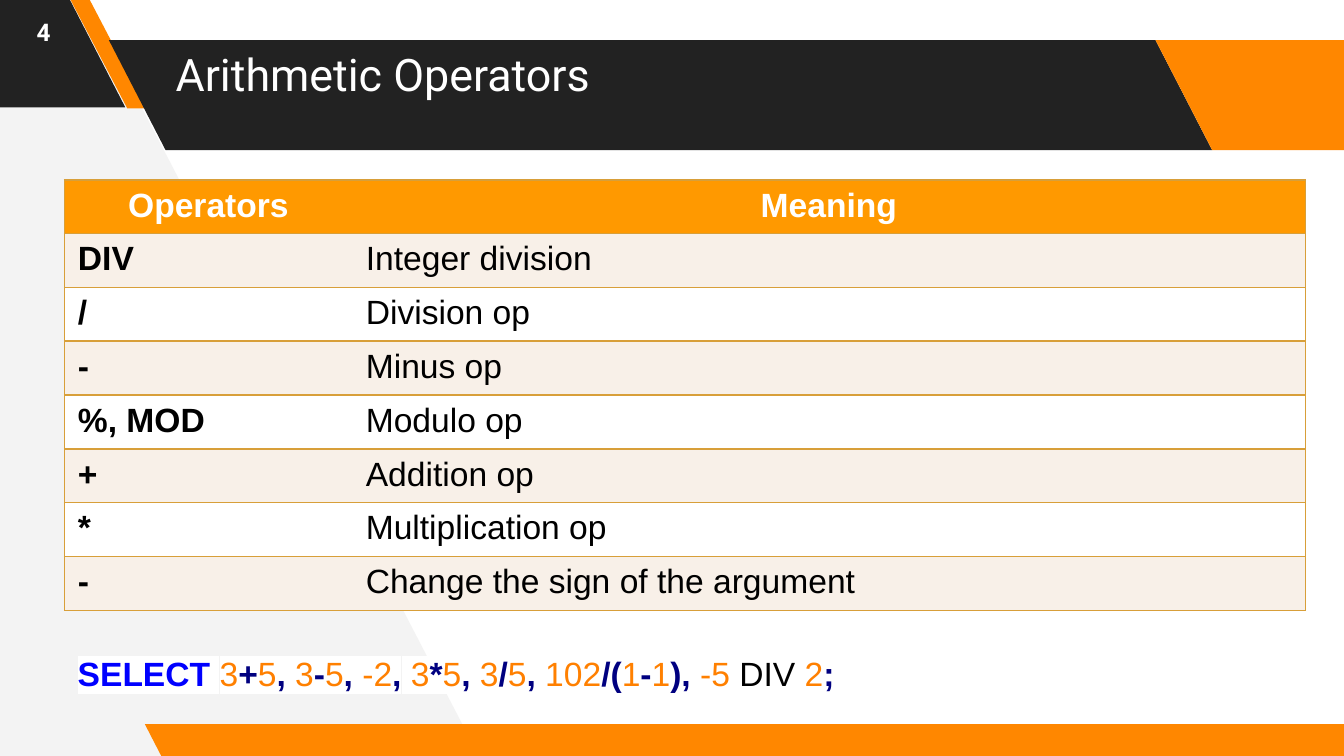
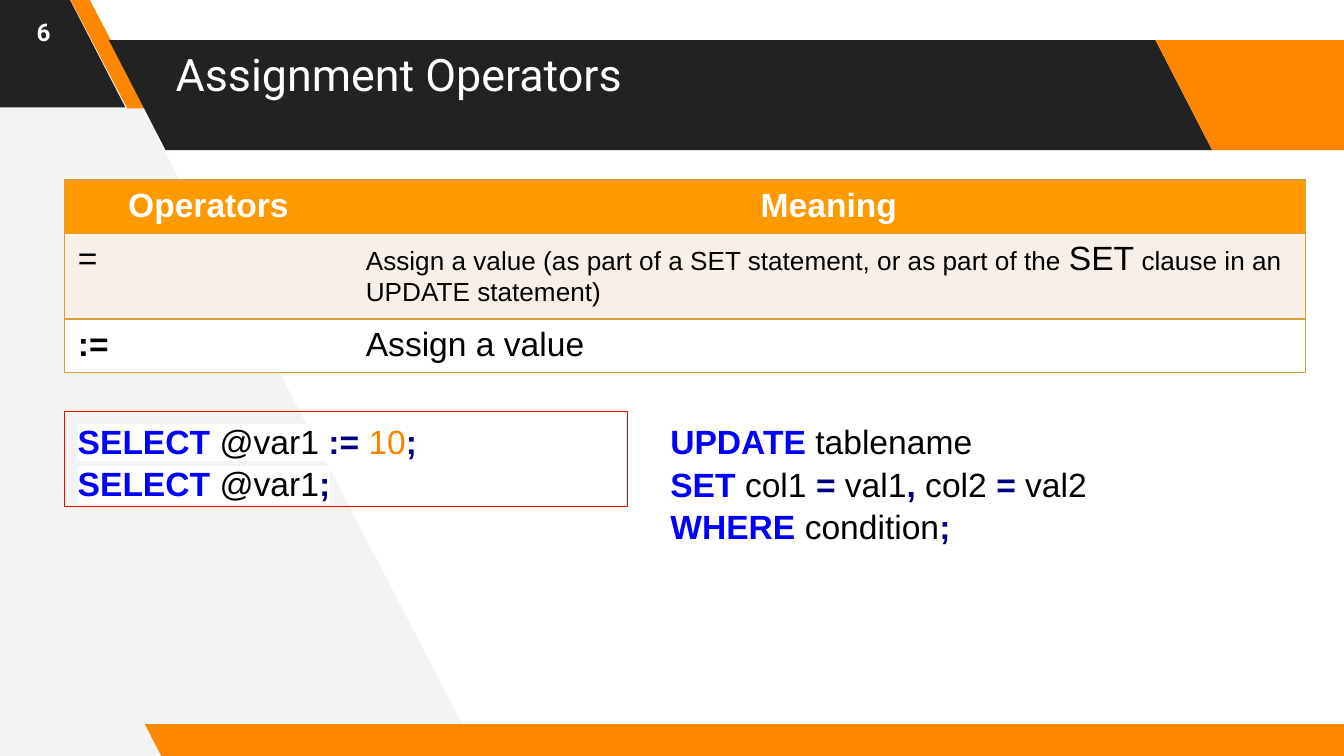
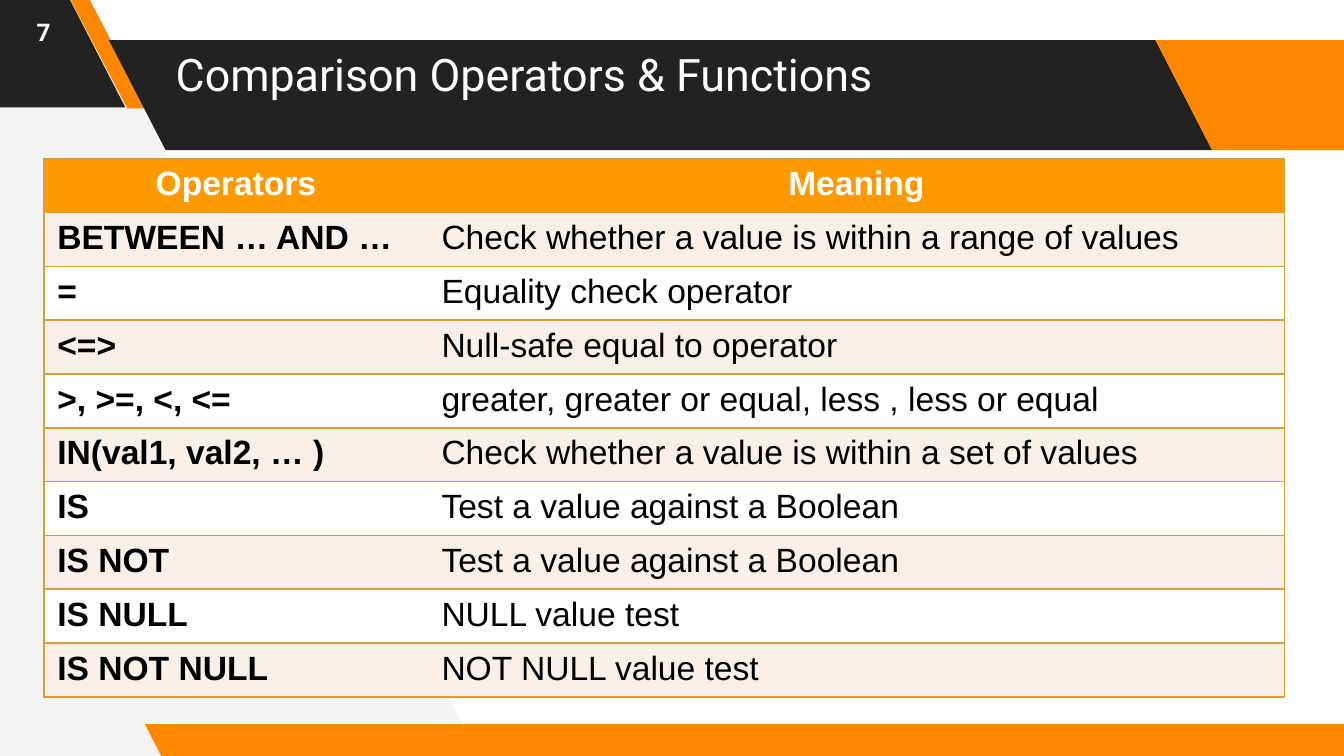
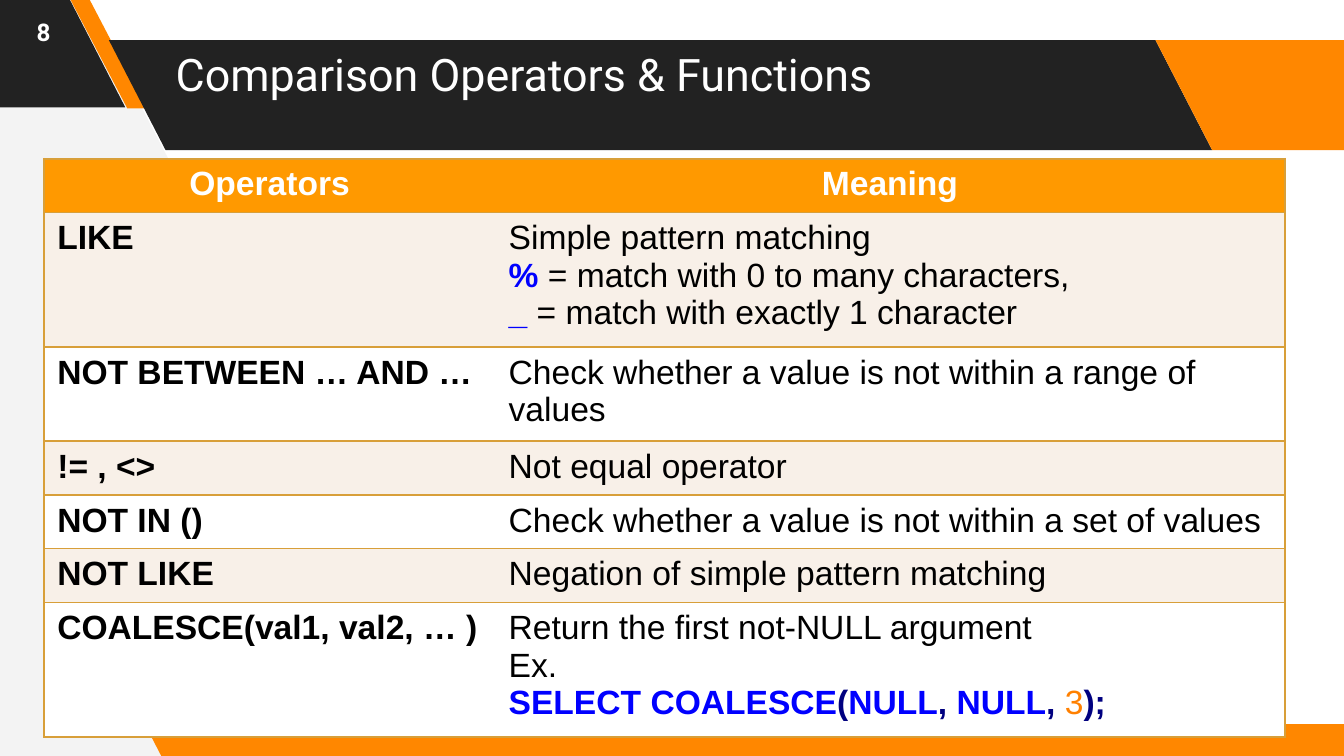
from lxml import etree
from pptx import Presentation
from pptx.dml.color import RGBColor
from pptx.enum.shapes import MSO_SHAPE
from pptx.enum.text import MSO_ANCHOR, PP_ALIGN
from pptx.oxml.ns import qn
from pptx.util import Cm, Pt

PARALLELOGRAM = MSO_SHAPE.PARALLELOGRAM
RECTANGLE = MSO_SHAPE.RECTANGLE
TOP, MIDDLE = MSO_ANCHOR.TOP, MSO_ANCHOR.MIDDLE
LEFT, CENTER = PP_ALIGN.LEFT, PP_ALIGN.CENTER

COLORS = {
    "white": "FFFFFF", "black": "000000", "dark": "222222", "orange": "FF8700",
    "pale": "F3F3F3", "header": "FF9900", "stripe": "F8F0E8", "border": "D89F39",
    "keyword": "0000FF", "number": "FF8000", "symbol": "000080", "frame": "FF0000",
}
BODY_FONT, TITLE_FONT = "Arial", "Roboto"

KEY = {"color": "keyword", "bold": True}
NUM = {"color": "number", "bold": False}
SYM = {"color": "symbol", "bold": True}
TXT = {"color": "black", "bold": False}

BANDS = [
    ((-2.51, -0.05, 4.88, 2.08), 0.515, "dark"),
    ((1.32, -0.03, 1.45, 2.08), 0.75, "orange"),
    ((2.06, 0.76, 20.85, 2.08), 0.515, "dark"),
    ((21.84, 0.76, 4.88, 2.08), 0.515, "orange"),
    ((2.74, 13.69, 23.24, 0.64), 0.515, "orange"),
]
WEDGE = [(9.04, 14.27), (1.57, -0.1), (-0.15, -0.1), (-0.05, 14.38)]
ROW_HEIGHT = 0.64

ARITHMETIC_ROWS = [
    ("DIV", "Integer division"),
    ("/", "Division op"),
    ("-", "Minus op"),
    ("%, MOD", "Modulo op"),
    ("+", "Addition op"),
    ("*", "Multiplication op"),
    ("-", "Change the sign of the argument"),
]
ARITHMETIC_CODE = [[
    ("SELECT", KEY), (" ", TXT), ("3", NUM), ("+", SYM), ("5", NUM), (",", SYM),
    (" ", TXT), ("3", NUM), ("-", SYM), ("5", NUM), (",", SYM),
    (" ", TXT), ("-2", NUM), (",", SYM),
    (" ", TXT), ("3", NUM), ("*", SYM), ("5", NUM), (",", SYM),
    (" ", TXT), ("3", NUM), ("/", SYM), ("5", NUM), (",", SYM),
    (" ", TXT), ("102", NUM), ("/(", SYM), ("1", NUM), ("-", SYM), ("1", NUM), ("),", SYM),
    (" ", TXT), ("-5", NUM), (" DIV ", TXT), ("2", NUM), (";", SYM),
]]
ASSIGNMENT_ROWS = [
    ([[("=", TXT)]], [[
        ("Assign a value (as part of a SET statement, or as part of the ", {"size": 14}),
        ("SET", {}),
        (" clause in an UPDATE statement)", {"size": 14}),
    ]]),
    (":=", "Assign a value"),
]
VARIABLE_CODE = [
    [("SELECT", KEY), (" @var1 ", TXT), (":=", SYM), (" ", TXT), ("10", NUM), (";", SYM)],
    [("SELECT", KEY), (" @var1", TXT), (";", SYM)],
]
UPDATE_CODE = [
    [("UPDATE", KEY), (" tablename", TXT)],
    [("SET", KEY), (" col1 ", TXT), ("= ", SYM), ("val1", TXT), (",", SYM),
     (" col2 ", TXT), ("= ", SYM), ("val2", TXT)],
    [("WHERE", KEY), (" condition", TXT), (";", SYM)],
]
COMPARISON_ROWS = [
    ("BETWEEN … AND …", "Check whether a value is within a range of values"),
    ("=", "Equality check operator"),
    ("<=>", "Null-safe equal to operator"),
    (">, >=, <, <=", "greater, greater or equal, less , less or equal"),
    ("IN(val1, val2, … )", "Check whether a value is within a set of values"),
    ("IS", "Test a value against a Boolean"),
    ("IS NOT", "Test a value against a Boolean"),
    ("IS NULL", "NULL value test"),
    ("IS NOT NULL", "NOT NULL value test"),
]


def highlighted(code):
    """Return the code lines with a white highlight on every run."""
    return [[(text, {**style, "highlight": "white"}) for text, style in line] for line in code]


COALESCE_CODE = [[
    ("SELECT", KEY), (" ", TXT), ("COALESCE", KEY), ("(", SYM), ("NULL", KEY), (",", SYM),
    (" ", TXT), ("NULL", KEY), (",", SYM), (" ", TXT), ("3", NUM), (");", SYM),
]]
PATTERN_ROWS = [
    ("LIKE", [[
        ("Simple pattern matching\n", {}),
        ("%", KEY), (" = match with 0 to many characters,\n", TXT),
        ("_", KEY), (" = match with exactly 1 character", TXT),
    ]]),
    ("NOT BETWEEN … AND …", "Check whether a value is not within a range of values"),
    ("!= , <>", "Not equal operator"),
    ("NOT IN ()", "Check whether a value is not within a set of values"),
    ("NOT LIKE", "Negation of simple pattern matching"),
    ("COALESCE(val1, val2, … )", [
        [("Return the first not-NULL argument", {})],
        [("Ex.", {})],
        *highlighted(COALESCE_CODE),
    ]),
]


def rgb(name):
    """Return the named palette colour."""
    return RGBColor.from_string(COLORS[name])


def lengths(box):
    """Convert a box in centimetres to lengths."""
    return [Cm(value) for value in box]


def add_run(paragraph, text, size, font, color, bold, highlight=None):
    """Add one formatted run."""
    run = paragraph.add_run()
    run.text = text
    run.font.size = Pt(size)
    run.font.bold = bold
    run.font.name = font
    run.font.color.rgb = rgb(color)
    if highlight:
        mark = etree.Element(qn("a:highlight"))
        etree.SubElement(mark, qn("a:srgbClr"), val=COLORS[highlight])
        run.font._element.find(qn("a:solidFill")).addnext(mark)


def write_text(frame, content, align=LEFT, spacing=None, size=18, font=BODY_FONT,
               color="black", bold=False):
    """Fill a text frame with a string or with paragraphs of styled runs."""
    paragraphs = [[(content, {})]] if isinstance(content, str) else content
    for index, runs in enumerate(paragraphs):
        paragraph = frame.add_paragraph() if index else frame.paragraphs[0]
        paragraph.alignment = align
        if spacing:
            paragraph.line_spacing = spacing
        for text, style in runs:
            look = {"size": size, "font": font, "color": color, "bold": bold, **style}
            for part_index, part in enumerate(text.split("\n")):
                if part_index:
                    paragraph.add_line_break()
                if part:
                    add_run(paragraph, part, **look)


def add_label(slide, box, content, anchor=TOP, inset=0.13, **style):
    """Add a wrapping text box."""
    frame = slide.shapes.add_textbox(*lengths(box)).text_frame
    frame.word_wrap = True
    frame.vertical_anchor = anchor
    frame.margin_top = frame.margin_bottom = Cm(inset)
    write_text(frame, content, **style)


def add_framed_code(slide, box, code):
    """Add code inside a thin red frame."""
    panel = slide.shapes.add_shape(RECTANGLE, *lengths(box))
    panel.shadow.inherit = False
    panel.fill.background()
    panel.line.color.rgb = rgb("frame")
    panel.line.width = Pt(0.75)
    panel.text_frame.word_wrap = True
    panel.text_frame.vertical_anchor = TOP
    write_text(panel.text_frame, highlighted(code), spacing=1.06)


def paint(shape, color):
    """Give a shape a plain fill without line or shadow."""
    shape.shadow.inherit = False
    shape.fill.solid()
    shape.fill.fore_color.rgb = rgb(color)
    shape.line.fill.background()


def add_backdrop(slide):
    """Draw the pale wedge and the slanted bands."""
    start, *others = [lengths(point) for point in WEDGE]
    outline = slide.shapes.build_freeform(*start, scale=1.0)
    outline.add_line_segments(others, close=True)
    paint(outline.convert_to_shape(), "pale")
    for box, slant, color in BANDS:
        band = slide.shapes.add_shape(PARALLELOGRAM, *lengths(box))
        band.adjustments[0] = slant
        band._element.spPr.find(qn("a:xfrm")).set("flipH", "1")
        paint(band, color)


def set_borders(cell, sides):
    """Draw the given sides of a cell and hide the others."""
    properties = cell._tc.get_or_add_tcPr()
    for side in "LRTB":
        edge = etree.SubElement(properties, qn(f"a:ln{side}"), w=str(Pt(1)))
        if side in sides:
            fill = etree.SubElement(edge, qn("a:solidFill"))
            etree.SubElement(fill, qn("a:srgbClr"), val=COLORS["border"])
        else:
            etree.SubElement(edge, qn("a:noFill"))


def add_operator_table(slide, box, operator_width, entries):
    """Add the striped table of operators and meanings."""
    rows = [("Operators", "Meaning"), *entries]
    holder = slide.shapes.add_table(len(rows), 2, *lengths(box))
    table = holder.table
    table.horz_banding = False
    table.columns[0].width = Cm(operator_width)
    table.columns[1].width = Cm(box[2] - operator_width)
    for row_index, row in enumerate(rows):
        table.rows[row_index].height = Cm(ROW_HEIGHT)
        is_header = row_index == 0
        fill = "header" if is_header else "stripe" if row_index % 2 else "white"
        for column, content in enumerate(row):
            cell = table.cell(row_index, column)
            set_borders(cell, "RTB" if column else "LTB")
            cell.fill.solid()
            cell.fill.fore_color.rgb = rgb(fill)
            write_text(cell.text_frame, content, bold=is_header or column == 0,
                       align=CENTER if is_header else LEFT,
                       color="white" if is_header else "black")
    holder.height = Cm(box[3])


def add_base_slide(deck, number, title):
    """Add a slide with backdrop, title and number."""
    slide = deck.slides.add_slide(deck.slide_layouts[6])
    slide.background.fill.solid()
    slide.background.fill.fore_color.rgb = rgb("white")
    add_backdrop(slide)
    heading = {"font": TITLE_FONT, "color": "white", "anchor": MIDDLE, "inset": 0.25}
    add_label(slide, (3.07, 0.76, 18.67, 1.27), title, size=24, **heading)
    add_label(slide, (0, 0, 1.65, 1.22), str(number), size=13, bold=True, align=CENTER, **heading)
    return slide


def main():
    """Build the four slides and save them."""
    deck = Presentation()
    deck.slide_width, deck.slide_height = Cm(25.4), Cm(14.29)

    arithmetic = add_base_slide(deck, 4, "Arithmetic Operators")
    add_operator_table(arithmetic, (1.22, 3.4, 23.45, 8.13), 5.44, ARITHMETIC_ROWS)
    add_label(arithmetic, (1.22, 12.22, 23.45, 1.02), highlighted(ARITHMETIC_CODE))

    assignment = add_base_slide(deck, 6, "Assignment Operators")
    add_operator_table(assignment, (1.22, 3.4, 23.45, 3.63), 5.44, ASSIGNMENT_ROWS)
    add_framed_code(assignment, (1.22, 7.78, 10.64, 1.8), VARIABLE_CODE)
    add_label(assignment, (12.42, 7.78, 12.7, 2.57), highlighted(UPDATE_CODE), spacing=1.06)

    comparison_title = "Comparison Operators & Functions"
    comparison = add_base_slide(deck, 7, comparison_title)
    add_operator_table(comparison, (0.83, 3, 23.45, 10.16), 7.26, COMPARISON_ROWS)

    patterns = add_base_slide(deck, 8, comparison_title)
    add_operator_table(patterns, (0.83, 3, 23.45, 10.92), 8.53, PATTERN_ROWS)

    deck.save("out.pptx")


if __name__ == "__main__":
    main()
